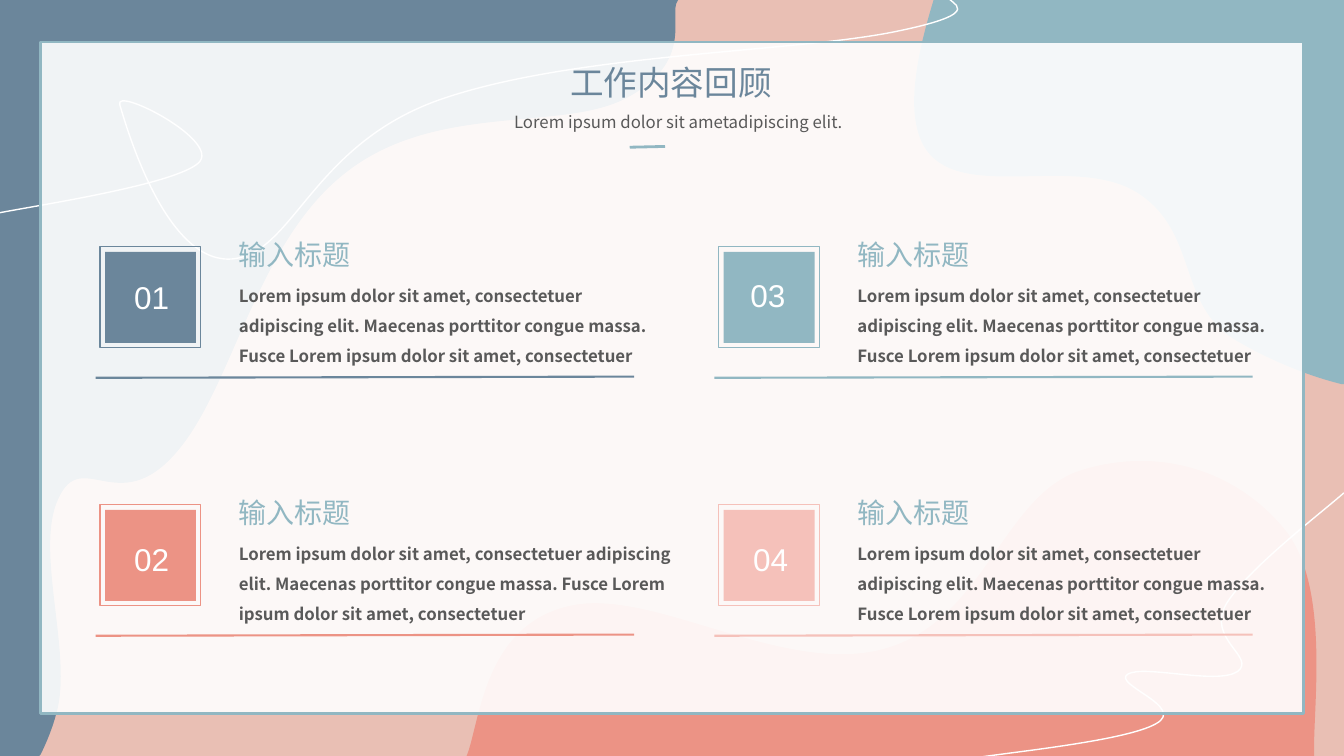
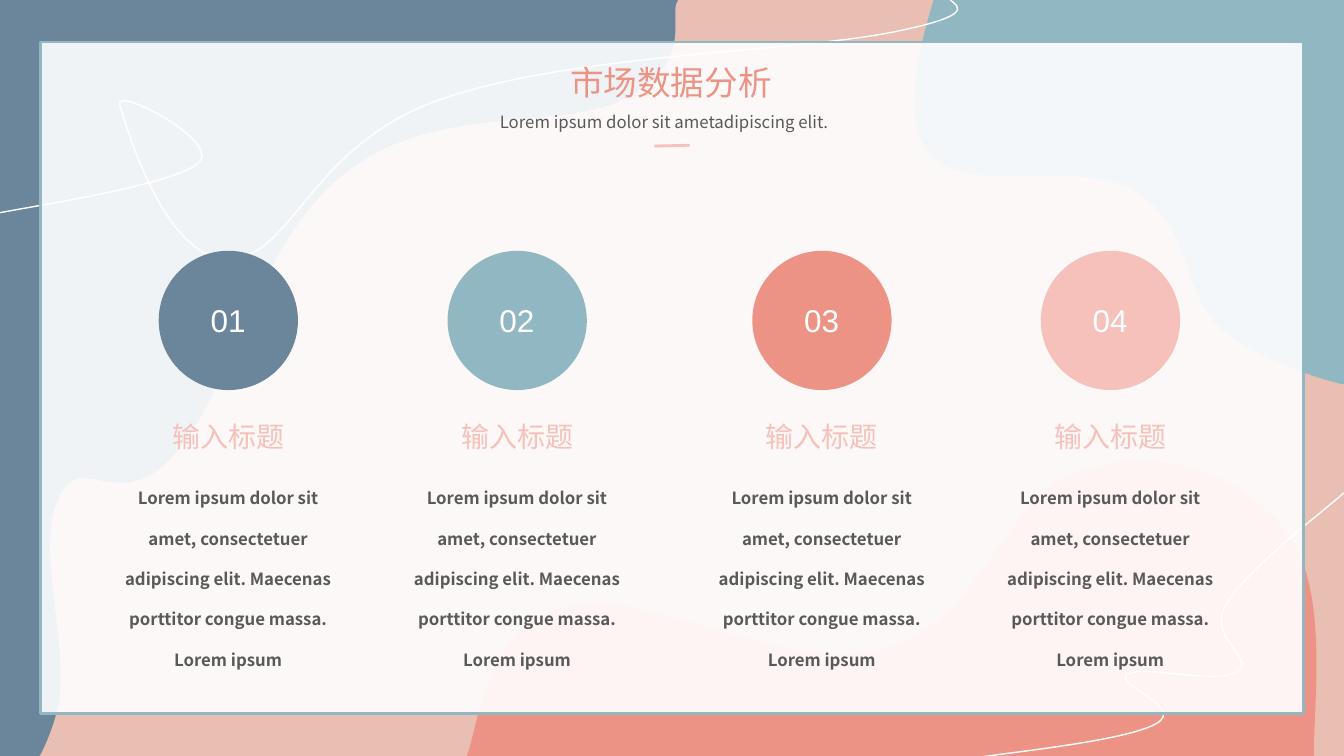
from dataclasses import dataclass

from lxml.etree import SubElement
from pptx import Presentation
from pptx.dml.color import RGBColor
from pptx.enum.shapes import MSO_CONNECTOR, MSO_SHAPE
from pptx.enum.text import MSO_AUTO_SIZE, PP_ALIGN
from pptx.oxml.ns import qn
from pptx.util import Cm, Pt


@dataclass(frozen=True)
class Theme:
    slate: str = "6B869B"
    teal: str = "91B7C2"
    coral: str = "EC9385"
    pink: str = "F5C1BA"
    sand: str = "E9BFB4"
    white: str = "FFFFFF"
    grey: str = "595959"
    text_font: str = "Noto Sans CJK SC"
    number_font: str = "Arial"
    title_size: float = 24
    heading_size: float = 20
    number_size: float = 22.5
    body_size: float = 12


THEME = Theme()
WIDTH, HEIGHT = 33.87, 19.05

TITLE = {"size": THEME.title_size, "alignment": PP_ALIGN.JUSTIFY}
SUBTITLE = {"size": THEME.body_size, "alignment": PP_ALIGN.CENTER, "spacing": 1.5}
HEADING = {"size": THEME.heading_size}
BODY = {"size": THEME.body_size, "bold": True, "spacing": 1.5}
NUMBER = {"size": THEME.number_size, "color": THEME.white,
          "font_name": THEME.number_font, "alignment": PP_ALIGN.CENTER}

SUBTITLE_TEXT = "Lorem ipsum dolor sit ametadipiscing elit."
HEADING_TEXT = "输入标题"
LOREM = ("Lorem ipsum dolor sit amet, consectetuer adipiscing elit. "
         "Maecenas porttitor congue massa. ")
CARD_TEXT = LOREM + "Fusce Lorem ipsum dolor sit amet, consectetuer"
COLUMN_TEXT = LOREM + "Lorem ipsum"

CORAL_HILL = [
    (11.76, 19.05),
    (12.09, 18.26, 12.17, 15.82, 14.27, 15.29),
    (16.36, 14.73, 19.66, 17.04, 22.25, 16.36),
    (24.84, 15.67, 25.25, 12.45, 27.28, 11.84),
    (29.29, 11.23, 31.22, 11.91, 32.39, 13.36),
    (33.55, 14.81, 33.07, 17.93, 33.12, 19.05),
]
TEAL_CORNER = [
    (23.52, 0), (WIDTH, 0), (WIDTH, 9.68), (33.81, 9.68),
    (32.87, 9.45, 31.9, 9.02, 31.17, 8.59),
    (29.64, 7.72, 30.23, 5.84, 28.65, 4.85),
    (27.05, 3.86, 24.1, 5.16, 23.27, 3.66),
    (22.81, 2.82, 23.11, 1.37, 23.52, 0.03),
    (23.52, 0),
]
RIGHT_THREAD = [
    (WIDTH, 12.42),
    (33.27, 12.95, 31.45, 14.33, 30.91, 15.21),
    (30.38, 16.1, 31.67, 16.56, 31.19, 16.92),
    (30.68, 17.27, 28.83, 16.74, 28.42, 16.99),
    (28.02, 17.25, 29.92, 17.81, 29.13, 18.24),
    (28.37, 18.67, 25.5, 18.95, 24.56, 19.1),
]
SLATE_CORNER = [
    (0, 0), (17.09, 0), (17.04, 0.1),
    (16.92, 0.53, 17.42, 1.63, 15.75, 2.49),
    (14.1, 3.33, 10.95, 2.57, 8.69, 4.37),
    (6.43, 6.15, 5.87, 9.8, 4.42, 11.43),
    (2.97, 13.08, 2.06, 11.25, 1.47, 12.57),
    (0.86, 13.87, 1.85, 16.51, 1.42, 17.98),
    (1.32, 18.36, 1.17, 18.72, 1.02, 19.02),
    (0.99, HEIGHT), (0, HEIGHT), (0, 0),
]
LEFT_THREAD = [
    (0, 5.36),
    (1.04, 5.16, 4.39, 4.65, 5, 4.11),
    (5.61, 3.56, 2.87, 2.16, 3.02, 2.64),
    (3.18, 3.18, 4.14, 6.55, 5.77, 6.53),
    (7.39, 6.5, 7.8, 3.63, 11.15, 2.49),
    (14.48, 1.35, 19.94, 1.32, 22.5, 0.81),
    (25.04, 0.3, 23.85, 0.08, 23.9, -0.08),
]


def set_values(target, values):
    for name, value in values.items():
        setattr(target, name, value)


def paint(shape, fill=None, line=None, line_width=1):
    shape.shadow.inherit = False
    if fill:
        shape.fill.solid()
        shape.fill.fore_color.rgb = RGBColor.from_string(fill)
    else:
        shape.fill.background()
    if line:
        shape.line.color.rgb = RGBColor.from_string(line)
        shape.line.width = Pt(line_width)
    else:
        shape.line.fill.background()
    return shape


def add_box(slide, preset, left, top, width, height, **look):
    shape = slide.shapes.add_shape(preset, Cm(left), Cm(top), Cm(width), Cm(height))
    return paint(shape, **look)


def add_rule(slide, start, end, color, width):
    connector = slide.shapes.add_connector(
        MSO_CONNECTOR.STRAIGHT, *(Cm(value) for value in (*start, *end)))
    connector.line.color.rgb = RGBColor.from_string(color)
    connector.line.width = Pt(width)
    SubElement(connector.element.spPr, qn("a:effectLst"))


def add_text(slide, text, left, top, width, height, size, color=THEME.grey,
             font_name=THEME.text_font, bold=False, alignment=PP_ALIGN.LEFT,
             spacing=1.0):
    box = slide.shapes.add_textbox(Cm(left), Cm(top), Cm(width), Cm(height))
    set_values(box.text_frame, {"word_wrap": True,
                                "auto_size": MSO_AUTO_SIZE.SHAPE_TO_FIT_TEXT})
    paragraph = box.text_frame.paragraphs[0]
    set_values(paragraph, {"alignment": alignment, "line_spacing": spacing})
    run = paragraph.add_run()
    run.text = text
    run.font.color.rgb = RGBColor.from_string(color)
    set_values(run.font, {"size": Pt(size), "bold": bold, "name": font_name})
    SubElement(run._r.get_or_add_rPr(), qn("a:ea"), typeface=font_name)


def add_outline(slide, outline, left, top, width, height, closed=False, **look):
    right, bottom = left + width, top + height
    builder = slide.shapes.build_freeform(Cm(left), Cm(top))
    corners = [(right, top), (right, bottom), (left, bottom)]
    builder.add_line_segments([(Cm(x), Cm(y)) for x, y in corners], close=False)
    shape = paint(builder.convert_to_shape(), **look)
    contour = shape.element.spPr.find(".//" + qn("a:path"))
    for command in list(contour):
        contour.remove(command)
    for index, segment in enumerate(outline):
        tag = "a:cubicBezTo" if len(segment) == 6 else "a:lnTo"
        command = SubElement(contour, qn(tag if index else "a:moveTo"))
        for x, y in zip(segment[::2], segment[1::2]):
            SubElement(command, qn("a:pt"),
                       x=str(int(Cm(x - left))), y=str(int(Cm(y - top))))
    if closed:
        SubElement(contour, qn("a:close"))


def draw_backdrop(slide):
    add_outline(slide, CORAL_HILL, 11.76, 11.63, 21.41, 7.42, fill=THEME.coral)
    add_outline(slide, TEAL_CORNER, 23.04, 0, 10.83, 9.68, True, fill=THEME.teal)
    add_outline(slide, RIGHT_THREAD, 24.56, 12.42, 9.31, 6.68, line=THEME.white)
    add_outline(slide, SLATE_CORNER, 0, 0, 17.09, HEIGHT, True, fill=THEME.slate)
    add_outline(slide, LEFT_THREAD, 0, -0.08, 24.13, 6.58, line=THEME.white)
    panel = add_box(slide, MSO_SHAPE.RECTANGLE, 1.02, 1.06, 31.83, 16.93,
                    fill=THEME.white, line=THEME.teal, line_width=2)
    panel_color = panel.element.spPr.find(qn("a:solidFill"))[0]
    SubElement(panel_color, qn("a:alpha"), val="90000")


def move_to_layout(slide, layout):
    for placeholder in list(layout.placeholders):
        layout.shapes.element.remove(placeholder.element)
    for shape in list(slide.shapes):
        layout.shapes.element.append(shape.element)


def draw_header(slide, title, color, subtitle_left, dash_left, dash_top, dash_color):
    add_text(slide, title, 14.12, 1.44, 5.62, 1.27, color=color, **TITLE)
    add_text(slide, SUBTITLE_TEXT, subtitle_left, 2.44, 9.76, 1.02, **SUBTITLE)
    add_rule(slide, (dash_left, dash_top), (dash_left + 0.89, dash_top - 0.02),
             dash_color, 2)


def draw_card(slide, left, top, number, color, body_width, number_shift):
    shift_x, shift_y = number_shift
    add_box(slide, MSO_SHAPE.RECTANGLE, left + 0.24, top + 0.48, 2.29, 2.29, fill=color)
    add_box(slide, MSO_SHAPE.RECTANGLE, left + 0.11, top + 0.35, 2.54, 2.54, line=color)
    add_text(slide, CARD_TEXT, left + 3.36, top + 0.95, body_width, 2.57, **BODY)
    add_text(slide, HEADING_TEXT, left + 3.36, top, 3.94, 1.12,
             color=THEME.teal, **HEADING)
    add_rule(slide, (left, top + 3.65), (left + 13.57, top + 3.62), color, 1.5)
    add_text(slide, number, left + shift_x, top + shift_y, 2.62, 1.22, **NUMBER)


def draw_column(slide, left, top, number, color):
    centered = {"alignment": PP_ALIGN.CENTER}
    add_box(slide, MSO_SHAPE.OVAL, left + 1.25, top, 3.51, 3.51, fill=color)
    add_text(slide, COLUMN_TEXT, left, top + 5.35, 6, 4.37,
             **{**BODY, **centered, "spacing": 2.0})
    add_text(slide, HEADING_TEXT, left + 1.01, top + 4.12, 3.99, 1.12,
             color=THEME.pink, **HEADING, **centered)
    add_text(slide, number, left + 1.69, top + 1.15, 2.62, 1.22, **NUMBER)


def build_review_slide(slide):
    draw_header(slide, "工作内容回顾", THEME.slate, 12.22, 15.87, 3.71, THEME.teal)
    cards = [
        ("01", THEME.slate, 11, (0.1, 1.02)),
        ("02", THEME.coral, 11.48, (0.1, 1.12)),
        ("03", THEME.teal, 11, (0.04, 0.97)),
        ("04", THEME.pink, 11, (0.11, 1.12)),
    ]
    for index, card in enumerate(cards):
        column, row = divmod(index, 2)
        draw_card(slide, 2.41 + 15.59 * column, 5.87 + 6.5 * row, *card)


def build_market_slide(slide):
    draw_header(slide, "市场数据分析", THEME.coral, 11.86, 16.49, 3.68, THEME.pink)
    columns = [
        (2.75, THEME.slate), (10.03, THEME.teal),
        (17.71, THEME.coral), (24.98, THEME.pink),
    ]
    for index, (left, color) in enumerate(columns, 1):
        draw_column(slide, left, 6.32, f"{index:02d}", color)


def main():
    presentation = Presentation()
    set_values(presentation, {"slide_width": Cm(WIDTH), "slide_height": Cm(HEIGHT)})
    background = presentation.slide_master.background.fill
    background.solid()
    background.fore_color.rgb = RGBColor.from_string(THEME.sand)
    blank = presentation.slide_layouts[6]
    review, market = (presentation.slides.add_slide(blank) for _ in range(2))
    draw_backdrop(review)
    move_to_layout(review, blank)
    build_review_slide(review)
    build_market_slide(market)
    presentation.save("out.pptx")


if __name__ == "__main__":
    main()
